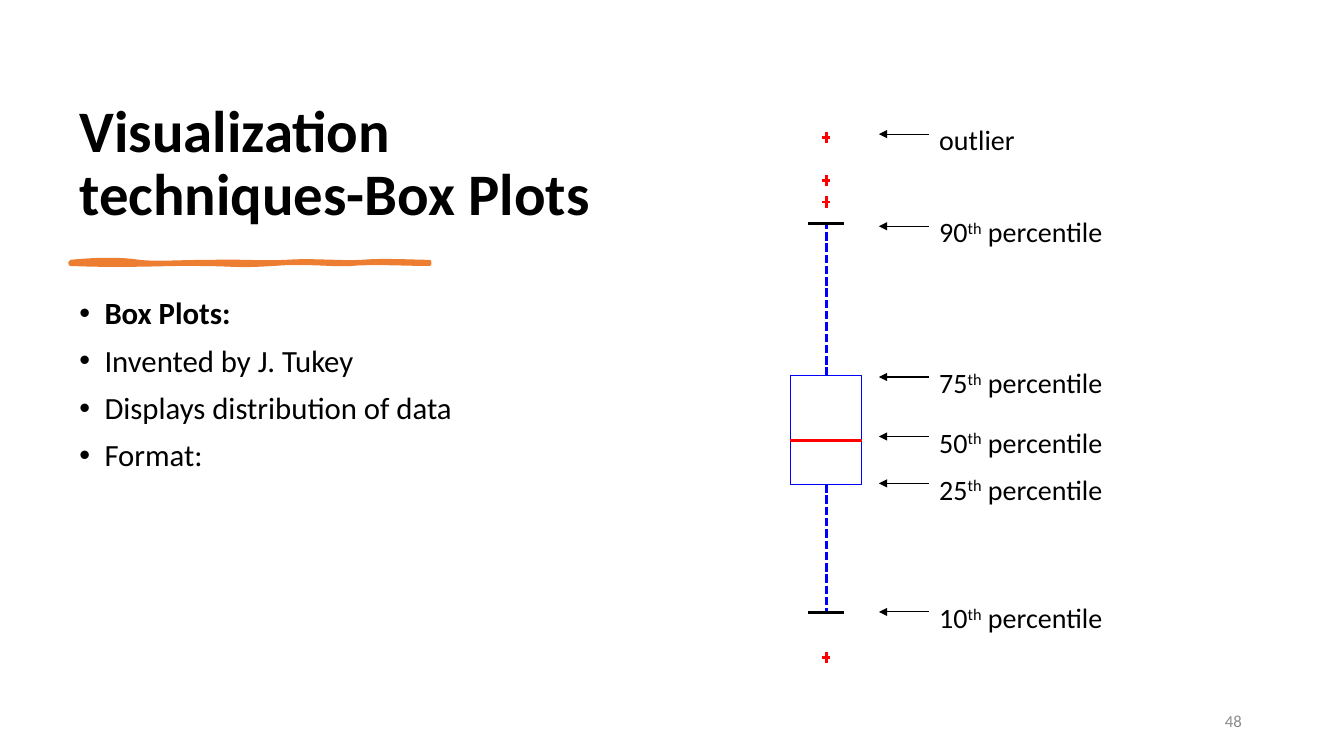
"""Build the slide that explains how to read a box plot."""
import dataclasses

import lxml.etree
import pptx
import pptx.dml.color
import pptx.enum.dml
import pptx.enum.shapes
import pptx.enum.text
import pptx.oxml.ns
import pptx.util

Cm = pptx.util.Cm
Pt = pptx.util.Pt
qn = pptx.oxml.ns.qn
Align = pptx.enum.text.PP_ALIGN
Anchor = pptx.enum.text.MSO_ANCHOR

TITLE = "Visualization techniques-Box Plots"
BULLETS = [
    ("Box Plots:", True),
    ("Invented by J. Tukey", False),
    ("Displays distribution of data", False),
    ("Format:", False),
]
PAGE_NUMBER = "48"
LABELS = [
    (("outlier",), 2.97, 3.28, 0.99),
    (("90", "th", " percentile"), 5.29, 5.18, 1.5),
    (("75", "th", " percentile"), 9.09, 5.61, 1.47),
    (("50", "th", " percentile"), 10.59, 5.18, 1.19),
    (("25", "th", " percentile"), 11.77, 5.38, 1.5),
    (("10", "th", " percentile"), 15.01, 5.61, 1.5),
]
OUTLIERS = [3.46, 4.55, 5.09, 16.57]
WHISKER_ENDS = [(0, 5.64), (2, 15.44)]
MEDIAN = 11.11
BOX_LEFT, BOX_TOP, BOX_WIDTH, BOX_HEIGHT = 19.92, 9.47, 1.8, 2.73
AXIS = BOX_LEFT + BOX_WIDTH / 2
CAP_HALF = 0.45
CROSS_HALF_WIDTH, CROSS_HALF_HEIGHT = 0.1, 0.14
ARROW_TIP, LABEL_LEFT, ARROW_DROP = 22.15, 23.42, 0.41
UNDERLINE_TOP = [
    (1.78, 6.6), (2.46, 6.53), (3.07, 6.53), (3.51, 6.6),
    (3.94, 6.65), (4.5, 6.6), (5.31, 6.6),
    (6.12, 6.58), (6.6, 6.63), (7.21, 6.6),
    (7.82, 6.55), (8.61, 6.63), (9.12, 6.6),
    (9.63, 6.55), (10.46, 6.6), (10.82, 6.6),
]
UNDERLINE_BOTTOM = [
    (10.82, 6.65), (10.36, 6.65), (9.25, 6.6), (8.84, 6.65),
    (8.43, 6.68), (7.72, 6.58), (6.86, 6.65),
    (5.97, 6.71), (5.87, 6.65), (5.05, 6.65),
    (4.22, 6.63), (3.35, 6.71), (1.78, 6.65),
]


@dataclasses.dataclass(frozen=True)
class Theme:
    """Colours, font and type sizes."""
    font: str = "Calibri"
    ink: str = "000000"
    paper: str = "FFFFFF"
    muted: str = "8C8C8C"
    accent: str = "ED7D31"
    frame: str = "0000FF"
    signal: str = "FF0000"
    title: int = 42
    body: int = 22
    label: int = 20
    number: int = 12


THEME = Theme()


def rgb(value):
    """Turn a hex string into a colour."""
    return pptx.dml.color.RGBColor.from_string(value)


def add_span(para, text, size, color=THEME.ink, bold=False):
    """Add one formatted run."""
    span = para.add_run()
    span.text = text
    span.font.name = THEME.font
    span.font.size = Pt(size)
    span.font.bold = bold
    span.font.color.rgb = rgb(color)
    return span


def set_frame(box, anchor):
    """Wrap the text of a box and anchor it."""
    frame = box.text_frame
    frame.word_wrap = True
    frame.auto_size = pptx.enum.text.MSO_AUTO_SIZE.NONE
    frame.vertical_anchor = anchor
    return frame


def add_line(page, start, end, color=THEME.ink, width=0):
    """Add a straight line between two points in centimetres."""
    line = page.shapes.add_connector(
        pptx.enum.shapes.MSO_CONNECTOR.STRAIGHT, *map(Cm, start + end))
    line.line.color.rgb = rgb(color)
    line.line.width = Pt(width)
    properties = line.line._get_or_add_ln().getparent()
    lxml.etree.SubElement(properties, qn("a:effectLst"))
    return line


def add_title(page):
    """Fill and place the title placeholder."""
    title = page.shapes.title
    title.left, title.top, title.width, title.height = map(
        Cm, (1.75, 1.78, 13.39, 4.11))
    para = set_frame(title, Anchor.BOTTOM).paragraphs[0]
    para.alignment = Align.LEFT
    para.line_spacing = 0.9
    add_span(para, TITLE, THEME.title, bold=True)


def bezier_points(points, steps=8):
    """Sample a chain of cubic curves."""
    samples = [points[0]]
    for first in range(0, len(points) - 1, 3):
        controls = points[first:first + 4]
        for step in range(1, steps + 1):
            t = step / steps
            weights = ((1 - t) ** 3, 3 * t * (1 - t) ** 2,
                       3 * t ** 2 * (1 - t), t ** 3)
            samples.append(tuple(
                sum(w * point[axis] for w, point in zip(weights, controls))
                for axis in (0, 1)))
    return samples


def add_underline(page):
    """Draw the hand-made stroke below the title."""
    outline = bezier_points(UNDERLINE_TOP) + bezier_points(UNDERLINE_BOTTOM)
    corners = [(Cm(x), Cm(y)) for x, y in outline]
    builder = page.shapes.build_freeform(*corners[0], scale=1.0)
    builder.add_line_segments(corners[1:], close=True)
    stroke = builder.convert_to_shape()
    stroke.shadow.inherit = False
    stroke.fill.solid()
    stroke.fill.fore_color.rgb = rgb(THEME.accent)
    stroke.line.color.rgb = rgb(THEME.accent)
    stroke.line.width = Pt(3)
    lxml.etree.SubElement(stroke.line._get_or_add_ln(), qn("a:round"))


def add_bullets(page):
    """Write the bulleted list."""
    box = page.shapes.add_textbox(*map(Cm, (1.75, 7.39, 13.39, 9.86)))
    frame = set_frame(box, Anchor.TOP)
    for index, (text, bold) in enumerate(BULLETS):
        para = frame.add_paragraph() if index else frame.paragraphs[0]
        para.line_spacing = 0.9
        para.space_before = Pt(10)
        add_span(para, text, THEME.body, bold=bold)
        properties = para._p.get_or_add_pPr()
        indent = Pt(18)
        properties.set("marL", str(indent))
        properties.set("indent", str(-indent))
        lxml.etree.SubElement(properties, qn("a:buFont"), typeface="Arial")
        lxml.etree.SubElement(properties, qn("a:buChar"), char="•")


def add_rectangle(page, left, top, width, height):
    """Add a plain rectangle without a shadow."""
    box = page.shapes.add_shape(
        pptx.enum.shapes.MSO_SHAPE.RECTANGLE, *map(Cm, (left, top, width, height)))
    box.shadow.inherit = False
    return box


def add_box_plot(page):
    """Draw the box, median, whiskers, caps and outliers."""
    box = add_rectangle(page, BOX_LEFT, BOX_TOP, BOX_WIDTH, BOX_HEIGHT)
    box.fill.background()
    box.line.color.rgb = rgb(THEME.frame)
    box.line.width = Pt(0)
    add_line(page, (BOX_LEFT, MEDIAN), (BOX_LEFT + BOX_WIDTH, MEDIAN), THEME.signal)
    for side, end in WHISKER_ENDS:
        edge = BOX_TOP if side == 0 else BOX_TOP + BOX_HEIGHT
        whisker = add_line(page, (AXIS, edge), (AXIS, end), THEME.frame)
        whisker.line.dash_style = pptx.enum.dml.MSO_LINE.SQUARE_DOT
        whisker.begin_connect(box, side)
        add_line(page, (AXIS - CAP_HALF, end), (AXIS + CAP_HALF, end))
    for y in OUTLIERS:
        for dx, dy in ((CROSS_HALF_WIDTH, 0), (0, CROSS_HALF_HEIGHT)):
            add_line(page, (AXIS - dx, y - dy), (AXIS + dx, y + dy), THEME.signal)


def add_label(page, parts, top, width, height):
    """Add one label with the arrow that points from it."""
    y = top + ARROW_DROP
    arrow = add_line(page, (ARROW_TIP, y), (LABEL_LEFT, y), width=0.75)
    lxml.etree.SubElement(
        arrow.line._get_or_add_ln(), qn("a:headEnd"), type="triangle")
    label = add_rectangle(page, LABEL_LEFT, top, width, height)
    label.fill.solid()
    label.fill.fore_color.rgb = rgb(THEME.paper)
    label.line.fill.background()
    para = set_frame(label, Anchor.TOP).paragraphs[0]
    para.alignment = Align.LEFT
    for part in parts:
        span = add_span(para, part, THEME.label)
        if part == "th":
            span.font._element.set("baseline", "30000")


def main():
    """Assemble and save the deck."""
    deck = pptx.Presentation()
    deck.slide_width, deck.slide_height = Cm(33.87), Cm(19.05)
    page = deck.slides.add_slide(deck.slide_layouts.get_by_name("Title Only"))
    add_title(page)
    add_underline(page)
    add_bullets(page)
    number = page.shapes.add_textbox(*map(Cm, (23.93, 17.65, 7.62, 1.02)))
    para = set_frame(number, Anchor.MIDDLE).paragraphs[0]
    para.alignment = Align.RIGHT
    add_span(para, PAGE_NUMBER, THEME.number, THEME.muted)
    add_box_plot(page)
    for label in LABELS:
        add_label(page, *label)
    deck.save("out.pptx")


if __name__ == "__main__":
    main()
